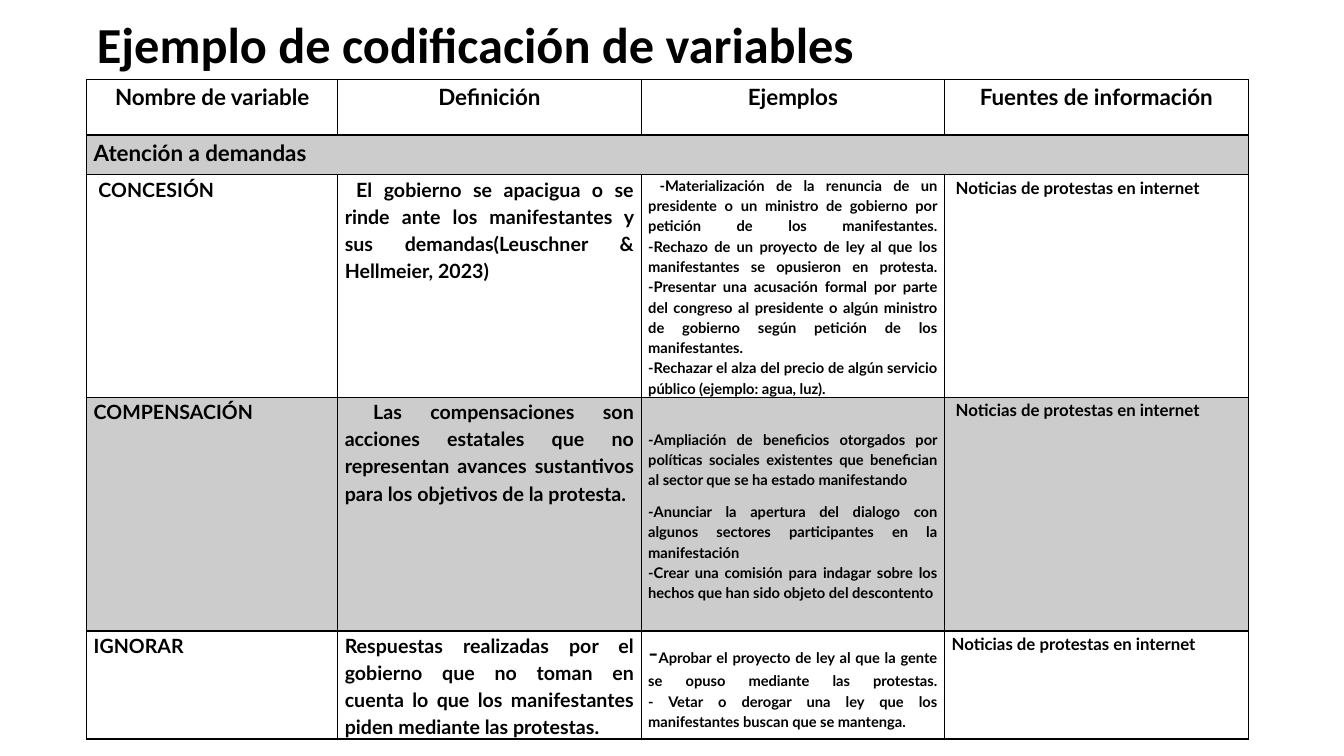
from dataclasses import dataclass

from lxml.etree import SubElement
from pptx import Presentation
from pptx.dml.color import RGBColor
from pptx.enum.text import MSO_ANCHOR, MSO_AUTO_SIZE, PP_ALIGN as Align
from pptx.oxml.ns import qn
from pptx.table import _Cell as TableCell
from pptx.util import Inches, Pt


@dataclass(frozen=True)
class Theme:
    ink: str = "000000"
    shade_percent: int = 20
    title_font: str = "Calibri"
    table_font: str = "Lato"
    title: float = 36
    dash: float = 20
    header: float = 16
    term: float = 14
    source: float = 12
    example: float = 10.5
    thin: float = 1
    thick: float = 2


@dataclass(frozen=True)
class Grid:
    left: float = 0.86
    top: float = 0.79
    columns: tuple[float, ...] = (2.49, 3.01, 3.01, 3.01)
    rows: tuple[float, ...] = (0.55, 0.39, 2.21, 2.32, 0.93)
    side_margin: float = 0.07


@dataclass(frozen=True)
class Piece:
    text: str
    size: float
    bold: bool = True


@dataclass(frozen=True)
class Entry:
    """One table cell: each paragraph is a tuple of pieces."""
    paragraphs: tuple[tuple[Piece, ...], ...]
    align: Align = Align.JUSTIFY
    top_margin: float = 0


THEME = Theme()
GRID = Grid()


def entry(size: float, *texts: str, align: Align = Align.JUSTIFY,
          top_margin: float = 0) -> Entry:
    return Entry(tuple((Piece(text, size),) for text in texts), align, top_margin)


HEADERS = ("Nombre de variable", "Definición", "Ejemplos", "Fuentes de información")
SOURCE = "Noticias de protestas en internet"
ROWS = (
    tuple(entry(THEME.header, name, align=Align.CENTER) for name in HEADERS),
    (entry(THEME.header, "Atención a demandas", align=Align.LEFT),),
    (
        entry(THEME.term, " CONCESIÓN"),
        entry(THEME.term, " El gobierno se apacigua o se rinde ante los manifestantes "
              "y sus demandas(Leuschner & Hellmeier, 2023)"),
        entry(THEME.example,
              " -Materialización de la renuncia de un presidente o un ministro de "
              "gobierno por petición de los manifestantes.\n"
              "-Rechazo de un proyecto de ley al que los manifestantes se opusieron "
              "en protesta.\n"
              "-Presentar una acusación formal por parte del congreso al presidente o "
              "algún ministro de gobierno según petición de los manifestantes.\n"
              "-Rechazar el alza del precio de algún servicio público "
              "(ejemplo: agua, luz)."),
        entry(THEME.source, " " + SOURCE),
    ),
    (
        entry(THEME.term, "COMPENSACIÓN"),
        entry(THEME.term, " Las compensaciones son acciones estatales que no "
              "representan avances sustantivos para los objetivos de la protesta."),
        entry(THEME.example,
              "-Ampliación de beneficios otorgados por políticas sociales existentes "
              "que benefician al sector que se ha estado manifestando",
              "-Anunciar la apertura del dialogo con algunos sectores participantes "
              "en la manifestación\n"
              "-Crear una comisión para indagar sobre los hechos que han sido objeto "
              "del descontento", top_margin=0.31),
        entry(THEME.source, " " + SOURCE),
    ),
    (
        entry(THEME.term, "IGNORAR"),
        entry(THEME.term, "Respuestas realizadas por el gobierno que no toman en "
              "cuenta lo que los manifestantes piden mediante las protestas."),
        Entry(((
            Piece("-", THEME.dash, bold=False),
            Piece("Aprobar el proyecto de ley al que la gente se opuso mediante las "
                  "protestas.\n- Vetar o derogar una ley que los manifestantes buscan "
                  "que se mantenga.", THEME.example),
        ),)),
        entry(THEME.source, SOURCE),
    ),
)
SECTION_ROW = 1
SHADED_ROWS = (1, 3)


def add_piece(paragraph, piece: Piece, font_name: str) -> None:
    for index, line in enumerate(piece.text.split("\n")):
        if index:
            paragraph.add_line_break()
        run = paragraph.add_run()
        run.text = line
        run.font.name = font_name
        run.font.size = Pt(piece.size)
        run.font.bold = piece.bold
        run.font.color.rgb = RGBColor.from_string(THEME.ink)


def add_alpha(color_parent, percent: int) -> None:
    color = color_parent.find(".//" + qn("a:srgbClr"))
    SubElement(color, qn("a:alpha"), val=str(percent * 1000))


def style_cell(cell: TableCell, row: int) -> None:
    """Draw the borders, then the fill, in the order the schema asks for."""
    properties = cell._tc.get_or_add_tcPr()
    thick_side = {0: "lnB", SECTION_ROW: "lnT"}.get(row)
    for side in ("lnL", "lnR", "lnT", "lnB"):
        width = THEME.thick if side == thick_side else THEME.thin
        border = SubElement(properties, qn(f"a:{side}"), w=str(Pt(width)))
        SubElement(SubElement(border, qn("a:solidFill")), qn("a:srgbClr"), val=THEME.ink)
    if row in SHADED_ROWS:
        cell.fill.solid()
        cell.fill.fore_color.rgb = RGBColor.from_string(THEME.ink)
        add_alpha(properties.find(qn("a:solidFill")), THEME.shade_percent)
    else:
        cell.fill.background()


def fill_cell(cell: TableCell, content: Entry) -> None:
    cell.margin_left = cell.margin_right = Inches(GRID.side_margin)
    cell.margin_top, cell.margin_bottom = Inches(content.top_margin), 0
    frame = cell.text_frame
    for index, pieces in enumerate(content.paragraphs):
        paragraph = frame.add_paragraph() if index else frame.paragraphs[0]
        paragraph.alignment = content.align
        paragraph.line_spacing = 1.15
        paragraph.space_after = Pt(8)
        for piece in pieces:
            add_piece(paragraph, piece, THEME.table_font)


def add_heading(slide) -> None:
    heading = slide.shapes.title
    heading.left, heading.top = Inches(GRID.left), Inches(0.08)
    heading.width, heading.height = Inches(11.17), Inches(0.71)
    frame = heading.text_frame
    frame.word_wrap = True
    frame.auto_size = MSO_AUTO_SIZE.SHAPE_TO_FIT_TEXT
    frame.vertical_anchor = MSO_ANCHOR.TOP
    paragraph = frame.paragraphs[0]
    paragraph.alignment = Align.LEFT
    add_piece(paragraph, Piece("Ejemplo de codificación de variables", THEME.title),
              THEME.title_font)


def add_coding_table(slide) -> None:
    table = slide.shapes.add_table(
        len(GRID.rows), len(GRID.columns), Inches(GRID.left), Inches(GRID.top),
        Inches(sum(GRID.columns)), Inches(sum(GRID.rows))).table
    table.first_row = table.horz_banding = False
    for column, width in zip(table.columns, GRID.columns):
        column.width = Inches(width)
    for row, height in zip(table.rows, GRID.rows):
        row.height = Inches(height)
    table.cell(SECTION_ROW, 0).merge(table.cell(SECTION_ROW, len(GRID.columns) - 1))
    for row, entries in enumerate(ROWS):
        for column in range(len(GRID.columns)):
            style_cell(table.cell(row, column), row)
        for column, content in enumerate(entries):
            fill_cell(table.cell(row, column), content)


def main() -> None:
    deck = Presentation()
    deck.slide_width, deck.slide_height = Inches(13.33), Inches(7.5)
    slide = deck.slides.add_slide(deck.slide_layouts.get_by_name("Title Only"))
    add_coding_table(slide)
    add_heading(slide)
    deck.save("out.pptx")


if __name__ == "__main__":
    main()
